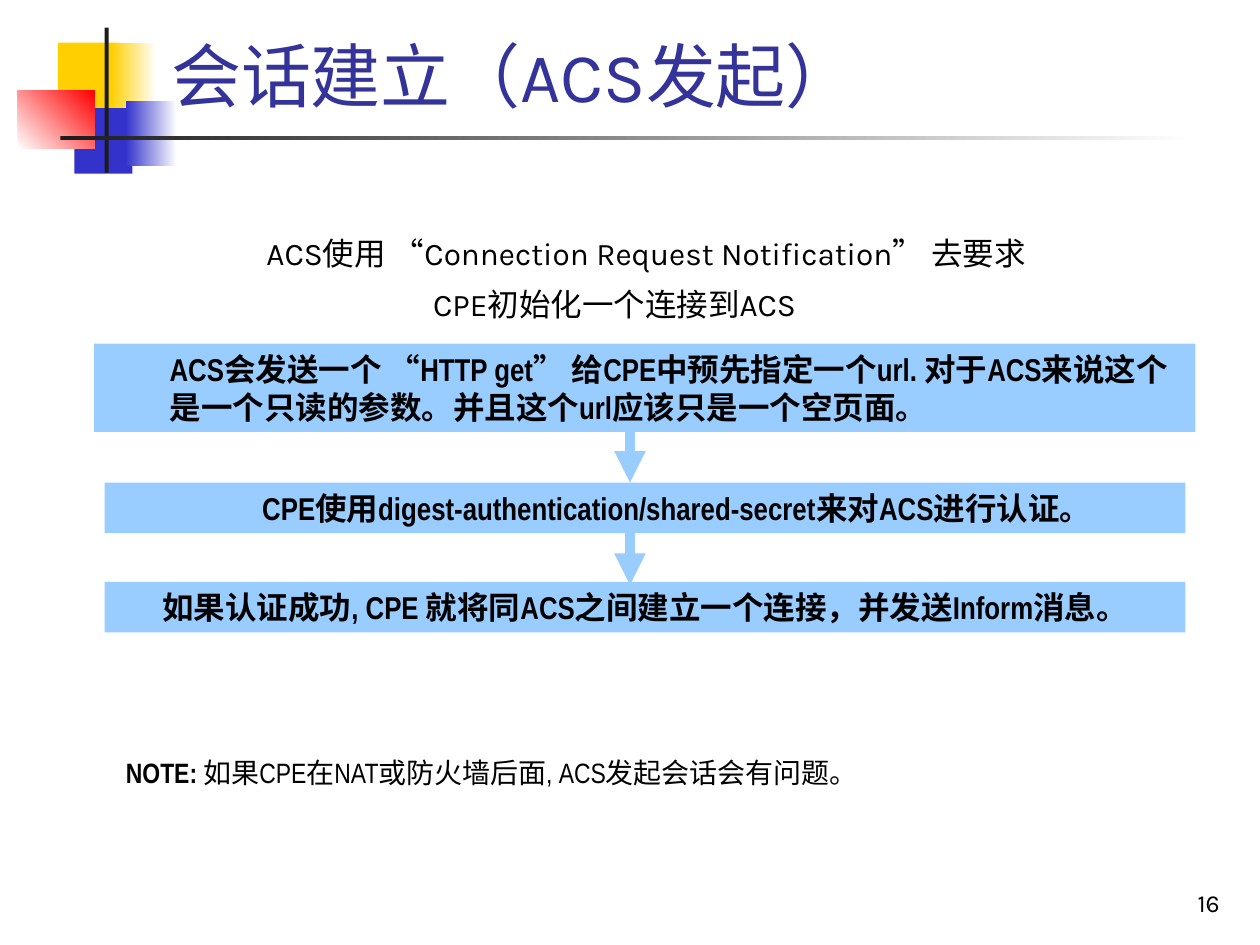
from dataclasses import dataclass

from lxml import etree
from pptx import Presentation
from pptx.dml.color import RGBColor
from pptx.enum import shapes, text
from pptx.oxml import ns
from pptx.slide import Slide
from pptx.util import Cm, Pt

BLACK = RGBColor(0x00, 0x00, 0x00)
WHITE = RGBColor(0xFF, 0xFF, 0xFF)
CHARCOAL = RGBColor(0x1C, 0x1C, 0x1C)
YELLOW = RGBColor(0xFF, 0xCF, 0x01)
BLUE = RGBColor(0x33, 0x33, 0xCC)
RED = RGBColor(0xFF, 0x00, 0x00)
TITLE_BLUE = RGBColor(0x33, 0x33, 0x99)
STEP_BLUE = RGBColor(0x99, 0xCC, 0xFF)

LEFT, CENTER, RIGHT = text.PP_ALIGN.LEFT, text.PP_ALIGN.CENTER, text.PP_ALIGN.RIGHT
TOP, BOTTOM = text.MSO_ANCHOR.TOP, text.MSO_ANCHOR.BOTTOM
INDENT = Cm(1.27)


@dataclass
class Deck:
    slide: Slide
    heading_font: str = "Karla"
    step_font: str = "Arial Narrow"
    quote_font: str = "Arial"

    def block(self, left, top, width, height, *colors, angle=0):
        """Draw a rectangle in one colour, or in a gradient of two."""
        rect = self.slide.shapes.add_shape(
            shapes.MSO_SHAPE.RECTANGLE, Cm(left), Cm(top), Cm(width), Cm(height))
        rect.shadow.inherit = False
        rect.line.fill.background()
        if len(colors) == 1:
            rect.fill.solid()
            rect.fill.fore_color.rgb = colors[0]
        else:
            rect.fill.gradient()
            rect.fill.gradient_angle = angle
            for stop, color in zip(rect.fill.gradient_stops, colors):
                stop.color.rgb = color
        return rect

    def arrow(self, x, top, bottom):
        connector = self.slide.shapes.add_connector(
            shapes.MSO_CONNECTOR.STRAIGHT, Cm(x), Cm(top), Cm(x), Cm(bottom))
        connector.line.color.rgb = STEP_BLUE
        connector.line.width = Pt(6)
        properties = connector._element.spPr
        outline = properties.find(ns.qn("a:ln"))
        etree.SubElement(outline, ns.qn("a:tailEnd"), type="triangle")
        etree.SubElement(properties, ns.qn("a:effectLst"))

    def text_box(self, left, top, width, height, anchor=TOP):
        box = self.slide.shapes.add_textbox(Cm(left), Cm(top), Cm(width), Cm(height))
        box.text_frame.word_wrap = True
        box.text_frame.vertical_anchor = anchor
        return box.text_frame

    def set_runs(self, paragraph, runs, font, size, align=LEFT, color=BLACK,
                 margin=0, first_line=0):
        """Fill a paragraph; each run is its words and the font settings that differ."""
        paragraph.alignment = align
        if margin:
            properties = paragraph._p.get_or_add_pPr()
            properties.set("marL", str(margin))
            properties.set("indent", str(first_line))
        for words, changes in runs:
            run = paragraph.add_run()
            run.text = words
            run.font.name = changes.get("font", font)
            run.font.size = Pt(changes.get("size", size))
            run.font.bold = changes.get("bold", False)
            run.font.color.rgb = color

    def step(self, left, top, width, height, words, align=CENTER, margin=0):
        frame = self.block(left, top, width, height, STEP_BLUE).text_frame
        frame.word_wrap = True
        frame.vertical_anchor = TOP
        self.set_runs(frame.paragraphs[0], [(words, {"bold": True})], self.step_font, 18,
                      align, margin=margin)

    def ornament(self):
        self.block(1.17, 0.86, 1.22, 1.32, YELLOW)
        self.block(2.24, 0.86, 0.91, 1.32, YELLOW, WHITE)
        self.block(1.5, 2.18, 1.17, 1.32, BLUE)
        self.block(2.54, 2.03, 1.02, 1.32, BLUE, WHITE)
        self.block(0.36, 1.83, 1.55, 1.17, WHITE, RED, angle=45)
        self.block(2.11, 0.56, 0.08, 2.92, CHARCOAL)
        self.block(1.22, 2.74, 22.86, 0.09, CHARCOAL, WHITE)


def main():
    presentation = Presentation()
    presentation.slide_width, presentation.slide_height = Cm(25.4), Cm(19.05)
    deck = Deck(presentation.slides.add_slide(presentation.slide_layouts[6]))

    deck.ornament()

    page_number = deck.text_box(19.56, 17.35, 5.28, 1.27, BOTTOM)
    deck.set_runs(page_number.paragraphs[0], [("16", {})], deck.heading_font, 14, RIGHT)

    title = deck.text_box(3.2, 0.13, 21.64, 2.34, BOTTOM)
    deck.set_runs(title.paragraphs[0], [("会话建立（ACS发起）", {})], deck.heading_font, 40,
                  color=TITLE_BLUE)

    intro = deck.text_box(0.64, 4.1, 23.5, 14.6)
    quote = {"font": deck.quote_font}
    request = [("\t", {"size": 32}), ("ACS使用 ", {}), ("“", quote),
               ("Connection Request Notification", {}), ("” ", quote), ("去要求", {})]
    deck.set_runs(intro.paragraphs[0], request, deck.heading_font, 18, CENTER,
                  margin=INDENT, first_line=-INDENT)
    target = intro.add_paragraph()
    target.space_before = Pt(4.5)
    deck.set_runs(target, [("CPE初始化一个连接到ACS", {})], deck.heading_font, 18, CENTER,
                  margin=INDENT, first_line=-INDENT)

    for arrow_top in (8.66, 10.72):
        deck.arrow(12.7, arrow_top, arrow_top + 1.07)

    deck.step(1.9, 6.93, 22.2, 1.78,
              "ACS会发送一个 “HTTP get” 给CPE中预先指定一个url. 对于ACS来说"
              "这个是一个只读的参数。并且这个url应该只是一个空页面。", LEFT, INDENT)
    deck.step(2.11, 9.73, 21.79, 1.02,
              "CPE使用digest-authentication/shared-secret来对ACS进行认证。", margin=INDENT)
    deck.step(2.11, 11.73, 21.79, 1.02,
              "如果认证成功, CPE 就将同ACS之间建立一个连接，并发送Inform消息。")

    note = deck.text_box(2.29, 15.11, 15.8, 0.94)
    deck.set_runs(note.paragraphs[0],
                  [("NOTE: ", {"bold": True}),
                   ("如果CPE在NAT或防火墙后面, ACS发起会话会有问题。", {})],
                  deck.step_font, 16)

    presentation.save("out.pptx")


if __name__ == "__main__":
    main()
